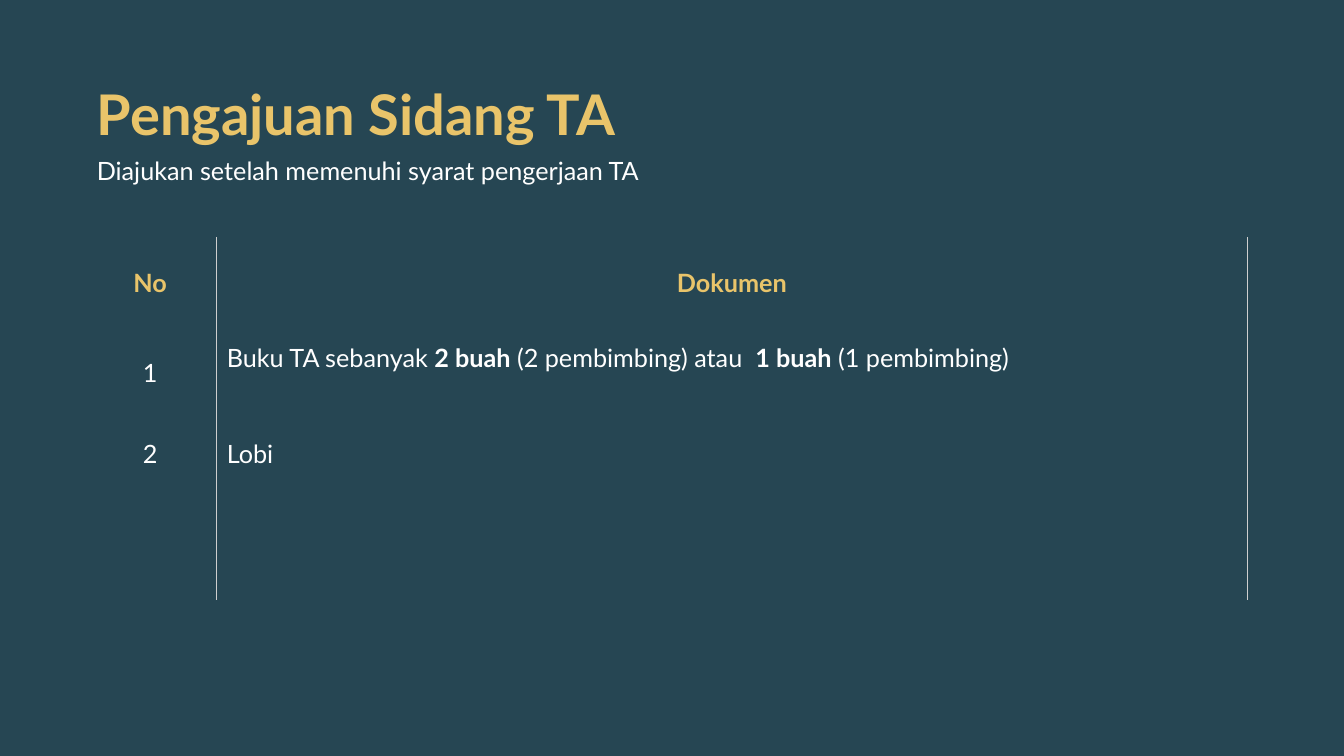
import pptx
import pptx.util
import pptx.dml.color
import pptx.enum.text
from dataclasses import dataclass
from lxml import etree

Inches, Pt = pptx.util.Inches, pptx.util.Pt
RGB = pptx.dml.color.RGBColor.from_string
ALIGN, ANCHOR = pptx.enum.text.PP_ALIGN, pptx.enum.text.MSO_ANCHOR


@dataclass(frozen=True)
class Theme:
    background: str = "264653"
    accent: str = "E9C46A"
    text: str = "FFFFFF"
    rule: str = "CFCFCF"
    font: str = "Lato"
    title_size: int = 40
    text_size: int = 18
    rule_width: float = 0.75


THEME = Theme()

# Content: each document is a list of (text, bold) runs
TITLE = "Pengajuan Sidang TA"
SUBTITLE = "Diajukan setelah memenuhi syarat pengerjaan TA"
HEADERS = ("No", "Dokumen")
DOCUMENTS = [
    [("Buku TA sebanyak ", False), ("2 buah", True), (" (2 pembimbing) atau  ", False),
     ("1 buah", True), (" (1 pembimbing)", False)],
    [("Lobi", False)],
]
ROWS = [[[(header, True)] for header in HEADERS]]
ROWS += [[[(str(number), False)], runs] for number, runs in enumerate(DOCUMENTS, 1)]
ROWS.append([[], []])

# Layout, in inches
TITLE_BOX = (0.96, 0.76, 11.39, 0.7)
SUBTITLE_BOX = (0.96, 1.57, 11.39, 0.78)
TABLE_LEFT, TABLE_TOP = 0.83, 2.35
COLUMN_WIDTHS = (1.32, 10.22)
ROW_HEIGHT = 0.9
LOBI_ROW = 2
BOOK_CELL = (1, 1)


def style(paragraph, color, size=THEME.text_size, bold=None):
    font = paragraph.font
    font.name, font.size, font.bold = THEME.font, Pt(size), bold
    font.color.rgb = RGB(color)


def fill_placeholder(placeholder, box, text, anchor, color, size, bold):
    placeholder.left, placeholder.top, placeholder.width, placeholder.height = map(Inches, box)
    frame = placeholder.text_frame
    frame.text = text
    frame.word_wrap = True
    frame.auto_size = pptx.enum.text.MSO_AUTO_SIZE.NONE
    frame.vertical_anchor = anchor
    frame.margin_left = frame.margin_right = frame.margin_top = frame.margin_bottom = 0
    paragraph = frame.paragraphs[0]
    paragraph.alignment = ALIGN.LEFT
    paragraph.space_before = Pt(0)
    style(paragraph, color, size, bold)
    return paragraph


def set_borders(cell, ruled_sides):
    properties = cell._tc.get_or_add_tcPr()
    for position, side in enumerate("LRTB"):
        line = etree.Element(pptx.oxml.ns.qn(f"a:ln{side}"), w=str(Pt(THEME.rule_width)))
        if side in ruled_sides:
            solid = etree.SubElement(line, pptx.oxml.ns.qn("a:solidFill"))
            etree.SubElement(solid, pptx.oxml.ns.qn("a:srgbClr"), val=THEME.rule)
        else:
            etree.SubElement(line, pptx.oxml.ns.qn("a:noFill"))
        properties.insert(position, line)


# Slide
deck = pptx.Presentation()
deck.slide_width, deck.slide_height = Inches(13.33), Inches(7.5)
slide = deck.slides.add_slide(deck.slide_layouts[1])
slide.background.fill.solid()
slide.background.fill.fore_color.rgb = RGB(THEME.background)

# Title and subtitle
fill_placeholder(slide.shapes.title, TITLE_BOX, TITLE, ANCHOR.BOTTOM,
                 THEME.accent, THEME.title_size, True)
subtitle = fill_placeholder(slide.placeholders[1], SUBTITLE_BOX, SUBTITLE, ANCHOR.TOP,
                            THEME.text, THEME.text_size, False)
subtitle.line_spacing = 0.9
subtitle_properties = subtitle._p.get_or_add_pPr()
subtitle_properties.set("marL", "0")
subtitle_properties.set("indent", "0")
etree.SubElement(subtitle_properties, pptx.oxml.ns.qn("a:buNone"))
# Keep the bullet setting ahead of the default run properties
for default_run in subtitle_properties.findall(pptx.oxml.ns.qn("a:defRPr")):
    subtitle_properties.append(default_run)

# Document table
documents = slide.shapes.add_table(
    len(ROWS), len(COLUMN_WIDTHS), Inches(TABLE_LEFT), Inches(TABLE_TOP),
    Inches(sum(COLUMN_WIDTHS)), Inches(ROW_HEIGHT * len(ROWS))).table
documents.first_row = documents.horz_banding = False
for column, width in zip(documents.columns, COLUMN_WIDTHS):
    column.width = Inches(width)

for r, row in enumerate(ROWS):
    documents.rows[r].height = Inches(ROW_HEIGHT)
    for c, runs in enumerate(row):
        cell = documents.cell(r, c)
        cell.fill.background()
        set_borders(cell, "LR" if c else "R")
        cell.vertical_anchor = ANCHOR.TOP if r == LOBI_ROW else ANCHOR.MIDDLE
        if r == LOBI_ROW:
            cell.margin_top = Inches(0.2)
        if (r, c) == BOOK_CELL:
            cell.margin_bottom = Inches(0.35)
        paragraph = cell.text_frame.paragraphs[0]
        paragraph.alignment = ALIGN.CENTER if r == 0 or c == 0 else ALIGN.LEFT
        style(paragraph, THEME.text if r else THEME.accent)
        for text, bold in runs:
            run = paragraph.add_run()
            run.text, run.font.bold = text, bold

deck.save("out.pptx")
